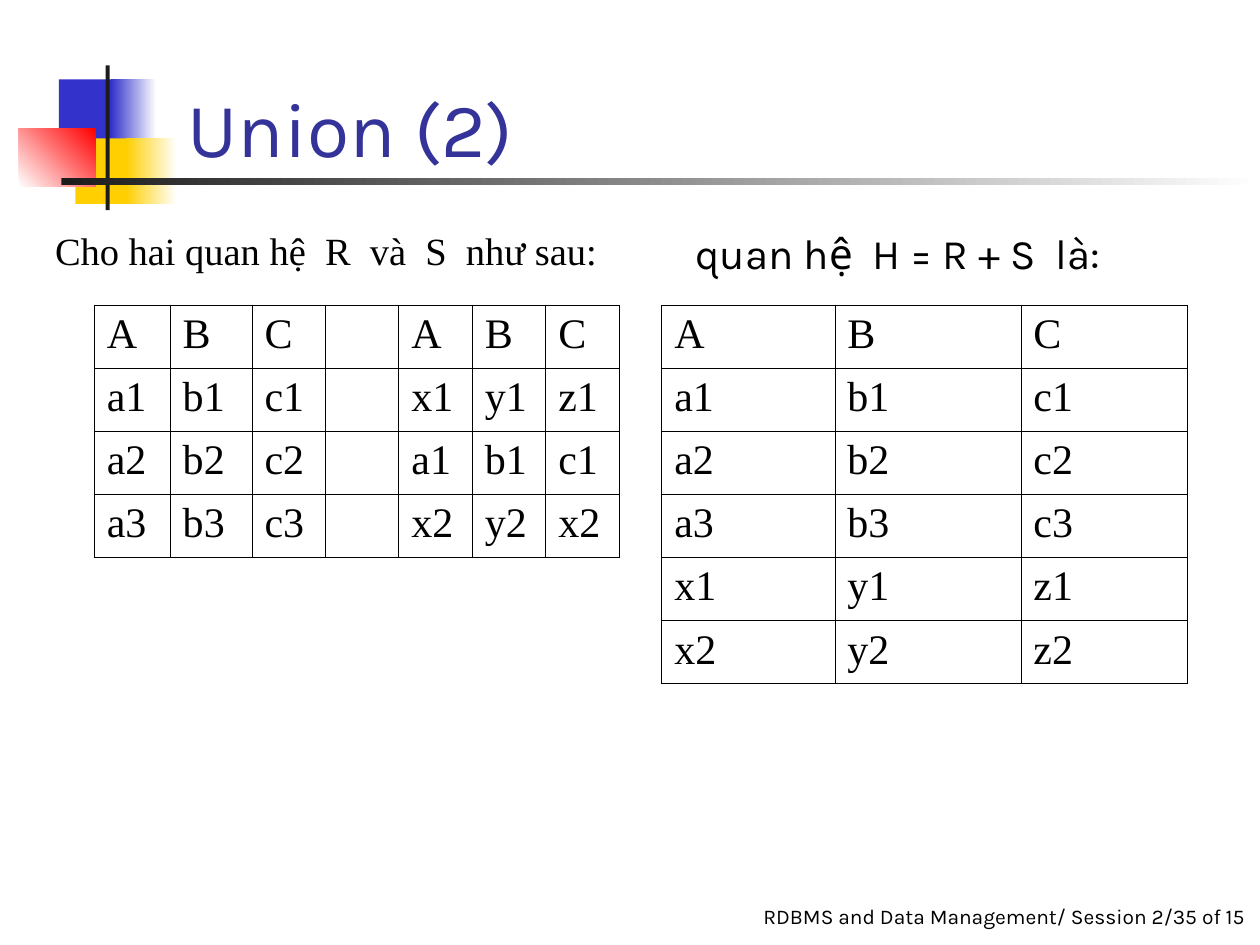
from typing import NamedTuple

from lxml.etree import SubElement
from pptx import Presentation
from pptx.dml.color import RGBColor
from pptx.enum.shapes import MSO_SHAPE
from pptx.enum.text import MSO_ANCHOR, MSO_AUTO_SIZE, PP_ALIGN
from pptx.oxml.ns import qn
from pptx.slide import Slide
from pptx.table import _Cell
from pptx.text.text import TextFrame
from pptx.util import Cm, Pt

BLACK = RGBColor(0x00, 0x00, 0x00)
WHITE = RGBColor(0xFF, 0xFF, 0xFF)
BLUE = RGBColor(0x33, 0x33, 0xCC)
YELLOW = RGBColor(0xFF, 0xCF, 0x01)
RED = RGBColor(0xFF, 0x00, 0x00)
CHARCOAL = RGBColor(0x1C, 0x1C, 0x1C)
TITLE_BLUE = RGBColor(0x33, 0x33, 0x99)

SANS = "Karla"
SERIF = "Times New Roman"
ROW_HEIGHT = 1.27
CELL_INDENT = Cm(0.95)


class Block(NamedTuple):
    """Decorative rectangle, in centimetres; with an end colour it is a gradient."""
    left: float
    top: float
    width: float
    height: float
    colour: RGBColor
    end_colour: RGBColor | None = None
    angle: int = 0


class Label(NamedTuple):
    text: str
    left: float
    top: float
    width: float
    height: float
    font: str
    size: int


class Relation(NamedTuple):
    left: float
    top: float
    column_widths: list[float]
    rows: list[list[str]]


BLOCKS = [
    Block(1.19, 1.6, 1.22, 1.32, BLUE),
    Block(2.24, 1.6, 0.91, 1.32, BLUE, WHITE),
    Block(1.52, 2.79, 1.17, 1.32, YELLOW),
    Block(2.54, 2.79, 1.02, 1.32, YELLOW, WHITE),
    Block(0.38, 2.59, 1.55, 1.17, WHITE, RED, 45),
    Block(2.13, 1.32, 0.08, 2.92, CHARCOAL),
    Block(1.24, 3.58, 24.16, 0.15, CHARCOAL, WHITE),
]

LABELS = [
    Label("quan hệ  H = R + S  là:", 13.77, 4.45, 9.25, 1.27, SANS, 24),
    Label("Cho hai quan hệ  R  và  S  như sau:", 0.86, 4.45, 11.61, 1.19, SERIF, 22),
]

HEADER = ["A", "B", "C"]
R_ROWS = [HEADER, ["a1", "b1", "c1"], ["a2", "b2", "c2"], ["a3", "b3", "c3"]]
S_ROWS = [HEADER, ["x1", "y1", "z1"], ["a1", "b1", "c1"], ["x2", "y2", "x2"]]
H_ROWS = R_ROWS + [["x1", "y1", "z1"], ["x2", "y2", "z2"]]

RELATIONS = [
    Relation(1.9, 6.15, [1.53, 1.65] + [1.48] * 5,
             [r_row + [""] + s_row for r_row, s_row in zip(R_ROWS, S_ROWS)]),
    Relation(13.34, 6.15, [3.49, 3.75, 3.35], H_ROWS),
]


def format_text(text_frame: TextFrame, font: str, size: int, colour: RGBColor = BLACK) -> None:
    for paragraph in text_frame.paragraphs:
        for run in paragraph.runs:
            run.font.name = font
            run.font.size = Pt(size)
            run.font.color.rgb = colour


def draw_blocks(slide: Slide, blocks: list[Block]) -> None:
    group = slide.shapes.add_group_shape()
    for block in blocks:
        shape = group.shapes.add_shape(
            MSO_SHAPE.RECTANGLE, Cm(block.left), Cm(block.top), Cm(block.width), Cm(block.height))
        shape.shadow.inherit = False
        shape.line.fill.background()
        if block.end_colour is None:
            shape.fill.solid()
            shape.fill.fore_color.rgb = block.colour
        else:
            shape.fill.gradient()
            shape.fill.gradient_angle = block.angle
            for stop, colour in zip(shape.fill.gradient_stops, (block.colour, block.end_colour)):
                stop.color.rgb = colour


def draw_label(slide: Slide, label: Label) -> TextFrame:
    shape = slide.shapes.add_textbox(
        Cm(label.left), Cm(label.top), Cm(label.width), Cm(label.height))
    text_frame = shape.text_frame
    text_frame.text = label.text
    text_frame.word_wrap = False
    text_frame.auto_size = MSO_AUTO_SIZE.SHAPE_TO_FIT_TEXT
    text_frame.vertical_anchor = MSO_ANCHOR.MIDDLE
    format_text(text_frame, label.font, label.size)
    return text_frame


def set_borders(cell: _Cell, side_width: float, row_width: float) -> None:
    properties = cell._tc.get_or_add_tcPr()
    widths = {"a:lnL": side_width, "a:lnR": side_width, "a:lnT": row_width, "a:lnB": row_width}
    for tag, width in widths.items():
        line = SubElement(properties, qn(tag), w=str(Pt(width)))
        fill = SubElement(line, qn("a:solidFill"))
        SubElement(fill, qn("a:srgbClr"), val=str(BLACK))


def draw_relation(slide: Slide, relation: Relation) -> None:
    row_count, column_count = len(relation.rows), len(relation.column_widths)
    table = slide.shapes.add_table(
        row_count, column_count, Cm(relation.left), Cm(relation.top),
        Cm(sum(relation.column_widths)), Cm(ROW_HEIGHT * row_count)).table
    table.first_row = False
    table.horz_banding = False
    for column, width in zip(table.columns, relation.column_widths):
        column.width = Cm(width)
    for row, values in zip(table.rows, relation.rows):
        row.height = Cm(ROW_HEIGHT)
        for cell, value in zip(row.cells, values):
            set_borders(cell, 0.45, 0.45 if value else 0.34)
            cell.fill.background()
            cell.text_frame.text = value
            paragraph = cell.text_frame.paragraphs[0]
            paragraph.alignment = PP_ALIGN.JUSTIFY
            properties = paragraph._p.get_or_add_pPr()
            properties.set("marL", str(CELL_INDENT))
            properties.set("indent", str(-CELL_INDENT))
            format_text(cell.text_frame, SERIF, 24)


def draw_title(slide: Slide, text: str) -> None:
    title = slide.shapes.title
    title.left, title.top, title.width, title.height = Cm(3.53), Cm(0.43), Cm(21.64), Cm(3.18)
    text_frame = title.text_frame
    text_frame.text = text
    text_frame.auto_size = MSO_AUTO_SIZE.NONE
    text_frame.vertical_anchor = MSO_ANCHOR.BOTTOM
    text_frame.paragraphs[0].alignment = PP_ALIGN.LEFT
    format_text(text_frame, SANS, 44, TITLE_BLUE)


def draw_footer(slide: Slide) -> None:
    text_frame = draw_label(slide, Label(
        "RDBMS and Data Management/ Session 2/35 of 15", 15.04, 18.08, 10.16, 1.35, SANS, 12))
    text_frame.word_wrap = True
    text_frame.vertical_anchor = MSO_ANCHOR.TOP
    text_frame.margin_right = 0
    text_frame.paragraphs[0].alignment = PP_ALIGN.CENTER


def main() -> None:
    presentation = Presentation()
    presentation.slide_width, presentation.slide_height = Cm(25.4), Cm(19.05)
    slide = presentation.slides.add_slide(presentation.slide_layouts[5])
    draw_footer(slide)
    draw_blocks(slide, BLOCKS)
    draw_title(slide, "Union (2)")
    for relation in RELATIONS:
        draw_relation(slide, relation)
    for label in LABELS:
        draw_label(slide, label)
    presentation.save("out.pptx")


if __name__ == "__main__":
    main()
